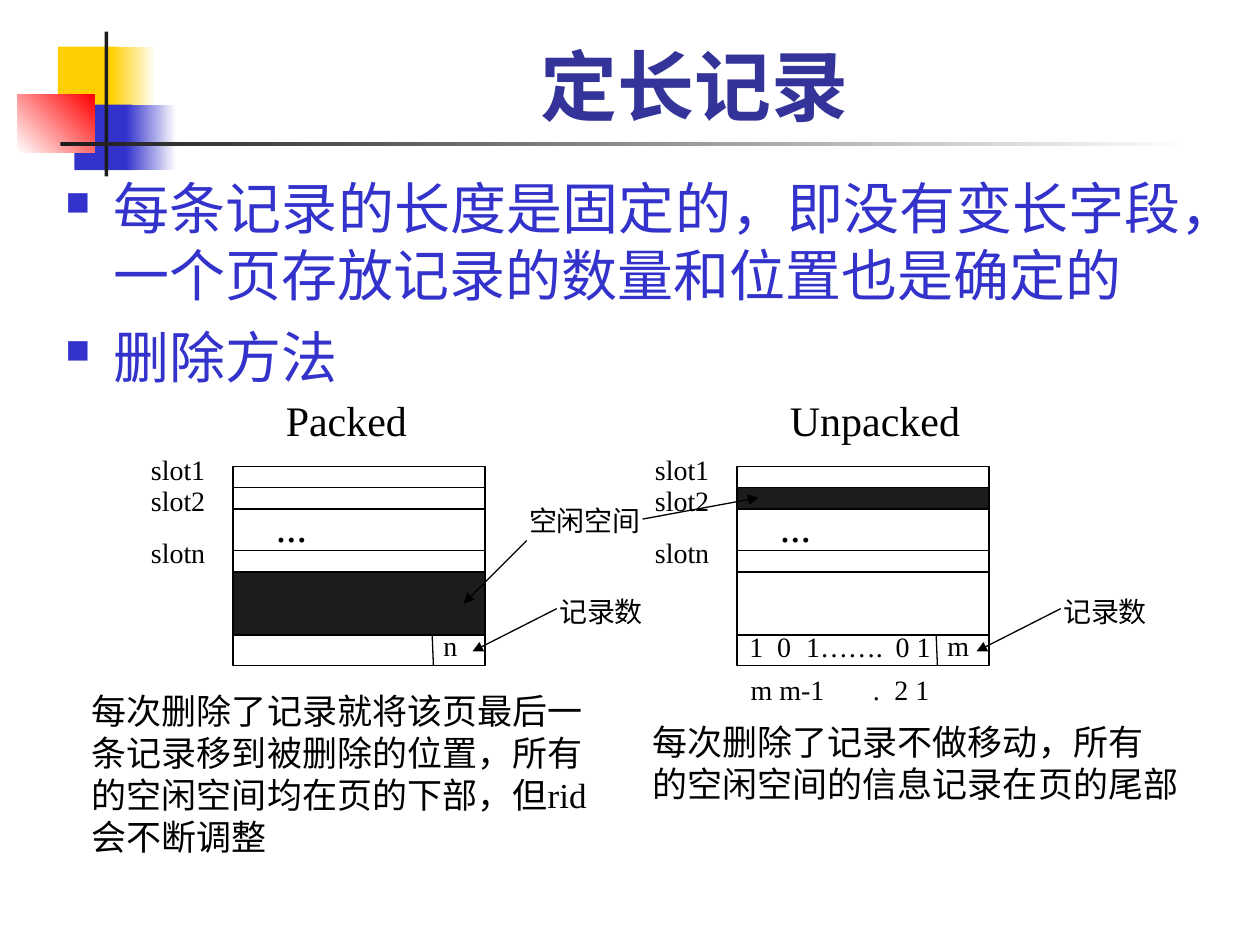
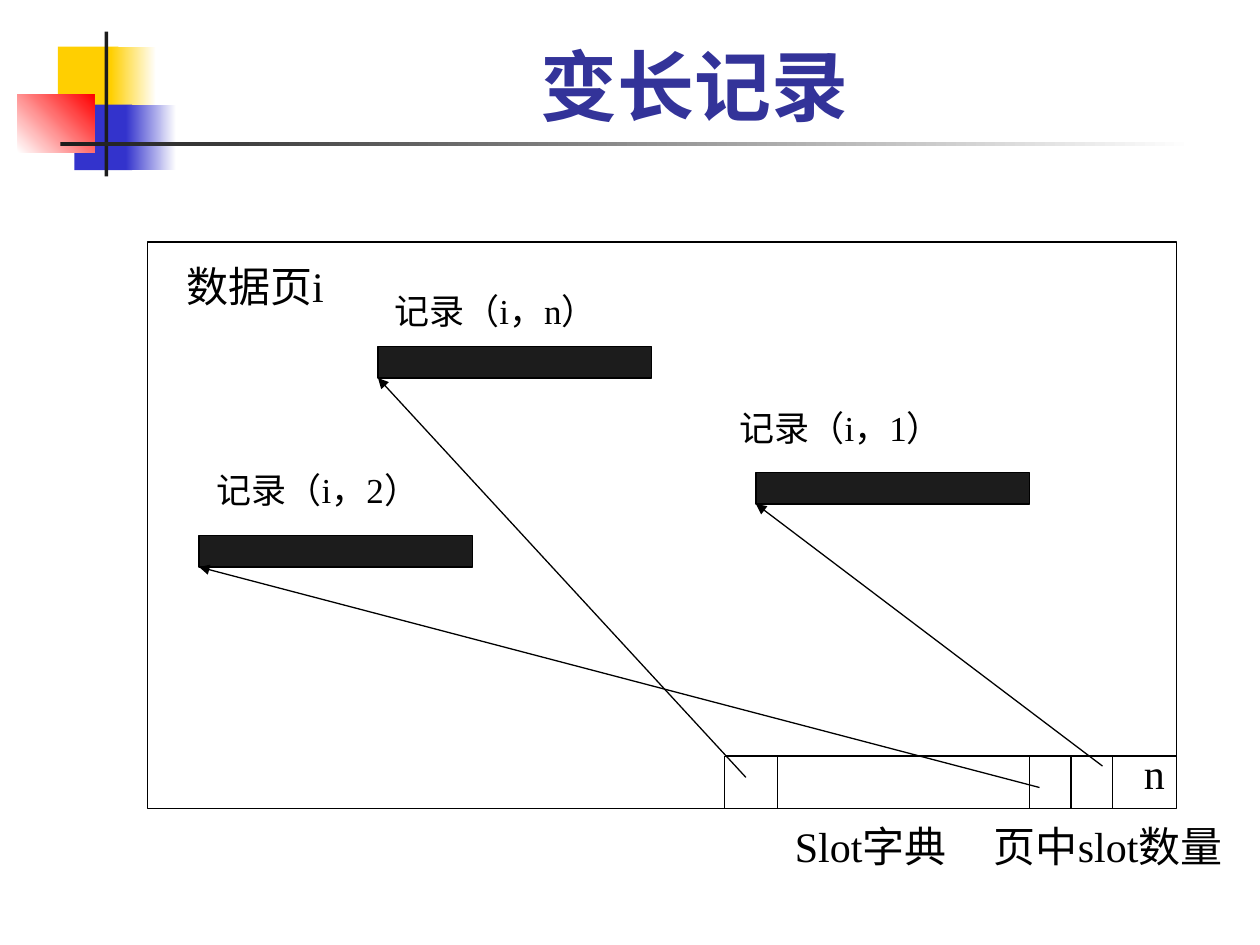
import pptx
import pptx.util
import pptx.dml.color
import pptx.enum.shapes
import pptx.enum.text
from lxml import etree

Inches, Pt = pptx.util.Inches, pptx.util.Pt
RGB = pptx.dml.color.RGBColor
ALIGN = pptx.enum.text.PP_ALIGN
ANCHOR = pptx.enum.text.MSO_ANCHOR
SIZING = pptx.enum.text.MSO_AUTO_SIZE
RECT = pptx.enum.shapes.MSO_SHAPE.RECTANGLE
STRAIGHT = pptx.enum.shapes.MSO_CONNECTOR.STRAIGHT
NS = "http://schemas.openxmlformats.org/drawingml/2006/main"

BLACK = RGB(0x00, 0x00, 0x00)
WHITE = RGB(0xFF, 0xFF, 0xFF)
INK = RGB(0x1C, 0x1C, 0x1C)
GOLD = RGB(0xFF, 0xCF, 0x01)
BLUE = RGB(0x33, 0x33, 0xCC)
NAVY = RGB(0x33, 0x33, 0x99)
RED = RGB(0xFF, 0x00, 0x00)
SERIF, SANS = "Times New Roman", "Roboto"

# Corner motif: box, colours (two make a gradient), gradient angle
MOTIF = [
    ((0.46, 0.37, 0.48, 0.52), [GOLD], 0),
    ((0.88, 0.37, 0.36, 0.52), [GOLD, WHITE], 0),
    ((0.59, 0.83, 0.46, 0.52), [BLUE], 0),
    ((1, 0.83, 0.4, 0.52), [BLUE, WHITE], 0),
    ((0.14, 0.75, 0.61, 0.46), [WHITE, RED], 45),
    ((0.83, 0.25, 0.03, 1.15), [INK], 0),
    ((0.48, 1.13, 9, 0.03), [INK, WHITE], 0),
]

# Fixed-length records
POINTS = ["每条记录的长度是固定的，即没有变长字段，一个页存放记录的数量和位置也是确定的",
          "删除方法"]
PAGE_TOP, PAGE_W, PAGE_H = 3.7, 2, 1.58
RULES = [3.87, 4.04, 4.37, 4.54, 5.04]
SLOTS = [("slot1", 3.54), ("slot2", 3.79), ("slotn", 4.2)]
PAGES = [
    dict(left=1.85, name="Packed", width=1.16, count="n", free=(4.54, 5.04)),
    dict(left=5.85, name="Unpacked", width=1.55, count="m", free=(3.87, 4.04)),
]
BITS = [
    ("1\t0\t1…….\t0 1", (5.85, 4.95, 1.64, 0.37), [0.22, 0.45, 1.16]),
    ("m m-1\t.\t2 1", (5.86, 5.29, 1.61, 0.37), [0.97, 1.14]),
]
FREE_ARROWS = [((4.18, 4.29), (3.68, 4.79)), ((5.1, 4.12), (6.02, 3.95))]
NOTES = [
    (["每次删除了记录就将该页最后一", "条记录移到被删除的位置，所有",
      "的空闲空间均在页的下部，但rid", "会不断调整"], (0.63, 5.42, 4.19, 1.44)),
    (["每次删除了记录不做移动，所有", "的空闲空间的信息记录在页的尾部"],
     (5.08, 5.67, 4.37, 0.77)),
]

# Variable-length records
FRAME = (1.17, 1.92, 8.17, 4.5)
SLOT_TOP, SLOT_END = 6, 6.42
CELLS = [5.75, 6.17, 8.17, 8.5, 8.83]
BAR_W, BAR_H = 2.17, 0.25
# label, its place, bar corner, start of the pointer
RECORDS = [
    ("记录（i，n）", (3.03, 2.25), (3, 2.75), (5.92, 6.17)),
    ("记录（i，2）", (1.62, 3.67), (1.58, 4.25), (8.25, 6.25)),
    ("记录（i，1）", (5.77, 3.18), (6, 3.75), (8.75, 6.08)),
]
LABELS = [
    ("数据页i", (1.38, 2.02, 1.37, 0.5), []),
    ("n", (8.98, 5.88, 0.36, 0.5), []),
    ("Slot字典\t页中slot数量", (6.21, 6.46, 3.75, 0.5), [1.58]),
]


def node(parent, tag, **attrs):
    return etree.SubElement(parent, f"{{{NS}}}{tag}", attrs)


def text(slide, lines, box, size=16, font=SERIF, color=BLACK, bold=False,
         align=ALIGN.LEFT, anchor=ANCHOR.TOP, wrap=False, bullet=None,
         before=0, tabs=()):
    frame = slide.shapes.add_textbox(*map(Inches, box)).text_frame
    frame.word_wrap = wrap
    frame.auto_size = SIZING.NONE
    frame.vertical_anchor = anchor
    if not wrap:
        frame.margin_right = 0  # slack, so that a tight label stays on its line
    lines = [lines] if isinstance(lines, str) else lines
    for i, line in enumerate(lines):
        para = frame.paragraphs[0] if i == 0 else frame.add_paragraph()
        props = para._p.get_or_add_pPr()
        if bullet:
            indent = Inches(0.38)
            props.set("marL", str(indent))
            props.set("indent", str(-indent))
            node(node(props, "buClr"), "srgbClr", val=str(color))
            node(props, "buSzPct", val="60000")
            node(props, "buChar", char=bullet)
        if tabs:
            stops = node(props, "tabLst")
            for stop in tabs:
                node(stops, "tab", pos=str(Inches(stop)), algn="l")
        para.alignment = align
        if i and before:
            para.space_before = Pt(before)
        run = para.add_run()
        run.text = line
        run.font.size, run.font.name, run.font.bold = Pt(size), font, bold
        run.font.color.rgb = color


def rect(slide, box, colors=(), angle=0, edge=True):
    shape = slide.shapes.add_shape(RECT, *map(Inches, box))
    shape.shadow.inherit = False
    if len(colors) == 2:
        shape.fill.gradient()
        shape.fill.gradient_angle = angle
        for stop, color in zip(shape.fill.gradient_stops, colors):
            stop.color.rgb = color
    elif colors:
        shape.fill.solid()
        shape.fill.fore_color.rgb = colors[0]
    else:
        shape.fill.background()
    if edge:
        shape.line.color.rgb = BLACK
        shape.line.width = Pt(0.75)
    else:
        shape.line.fill.background()


def line(slide, start, end, arrow=False):
    link = slide.shapes.add_connector(STRAIGHT, *map(Inches, (*start, *end)))
    link.line.color.rgb = BLACK
    link.line.width = Pt(0.75)
    if arrow:
        node(link.line._get_or_add_ln(), "tailEnd", type="triangle")
    node(link._element.spPr, "effectLst")


def start(deck, title):
    """Add a slide with the corner motif and its title."""
    slide = deck.slides.add_slide(deck.slide_layouts[6])
    for box, colors, angle in MOTIF:
        rect(slide, box, colors, angle, edge=False)
    text(slide, title, (1.25, 0.25, 8.52, 0.84), size=44, font=SANS, color=NAVY,
         bold=True, align=ALIGN.CENTER, anchor=ANCHOR.BOTTOM, wrap=True)
    return slide


def page(slide, left, name, width, count, free):
    """Draw one page layout with its slots, free space and record count."""
    right = left + PAGE_W
    rect(slide, (left, PAGE_TOP, PAGE_W, PAGE_H))
    for y in RULES:
        line(slide, (left, y), (right, y))
    line(slide, (left + 1.58, RULES[-1]), (left + 1.59, PAGE_TOP + PAGE_H))
    top, end = free
    rect(slide, (left, top, PAGE_W, end - top), [INK])
    for slot, y in SLOTS:
        text(slide, slot, (left - 0.75, y, 0.63, 0.37))
    text(slide, "...", (left + 0.24, 3.92, 0.45, 0.5), size=24)
    text(slide, name, (left + 0.32, 3.08, width, 0.5), size=24)
    text(slide, count, (left + 1.57, 4.94, 0.31 if count == "n" else 0.37, 0.37))
    text(slide, "记录数", (left + 2.49, 4.67, 0.86, 0.37))
    line(slide, (left + 2.57, 4.83), (left + 1.9, 5.17), arrow=True)


def fixed(deck):
    slide = start(deck, "定长记录")
    text(slide, POINTS, (0.42, 1.33, 9.5, 5.46), size=32, font=SANS, color=BLUE,
         align=ALIGN.JUSTIFY, wrap=True, bullet="■", before=8)
    for spec in PAGES:
        page(slide, **spec)
    for bits, box, tabs in BITS:
        text(slide, bits, box, tabs=tabs)
    text(slide, "空闲空间", (4.1, 3.95, 1.08, 0.37))
    for tail, tip in FREE_ARROWS:
        line(slide, tail, tip, arrow=True)
    for lines, box in NOTES:
        text(slide, lines, box, size=20)


def varied(deck):
    slide = start(deck, "变长记录")
    rect(slide, FRAME)
    line(slide, (CELLS[0], SLOT_TOP), (FRAME[0] + FRAME[2], SLOT_TOP))
    for x in CELLS:
        line(slide, (x, SLOT_TOP), (x, SLOT_END))
    for label, place, (x, y), tail in RECORDS:
        rect(slide, (x, y, BAR_W, BAR_H), [INK])
        line(slide, tail, (x, y + BAR_H), arrow=True)
        text(slide, label, (*place, 2.07, 0.44), size=20)
    for label, box, tabs in LABELS:
        text(slide, label, box, size=24, tabs=tabs)


def main():
    deck = pptx.Presentation()
    deck.slide_width, deck.slide_height = Inches(10), Inches(7.5)
    fixed(deck)
    varied(deck)
    deck.save("out.pptx")


if __name__ == "__main__":
    main()
